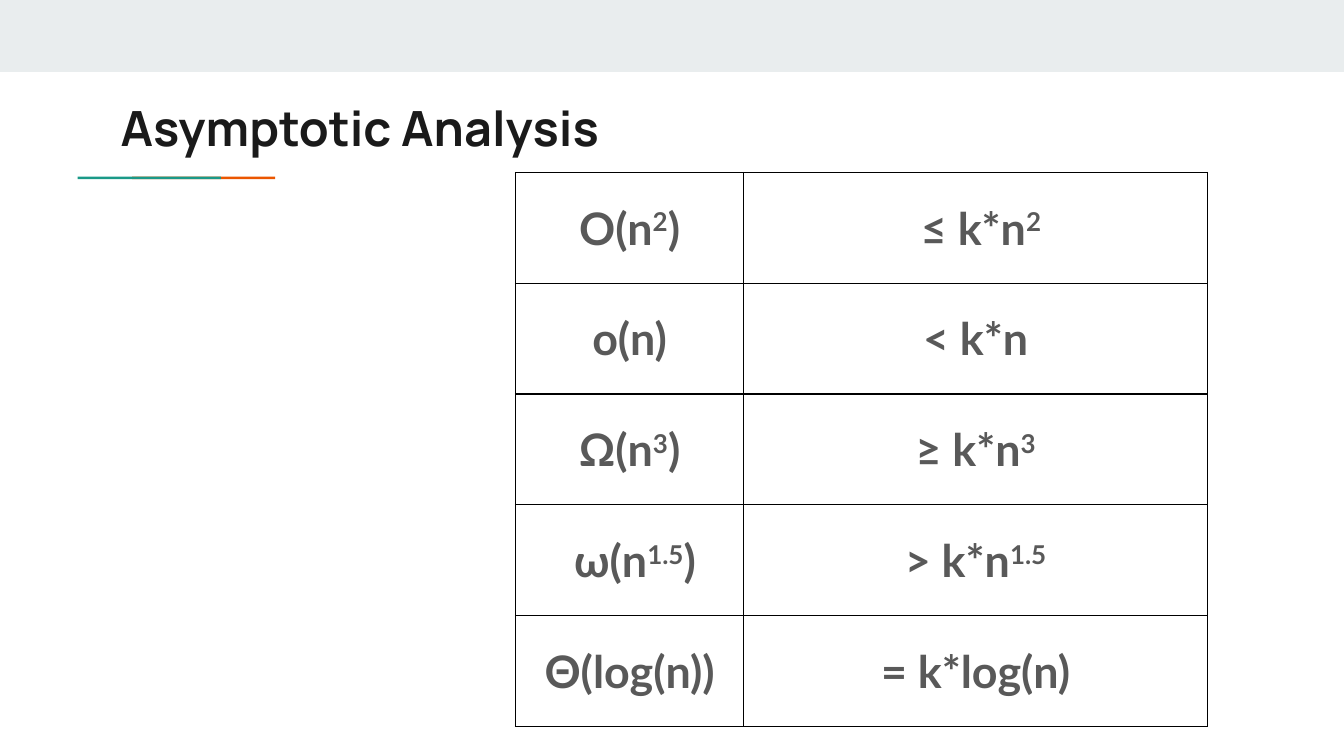
from pptx import Presentation
from pptx.dml.color import RGBColor
from pptx.enum.shapes import MSO_SHAPE
from pptx.enum.text import MSO_ANCHOR, PP_ALIGN
from pptx.oxml.ns import qn
from pptx.util import Cm, Pt
from lxml.etree import SubElement

PALE_GREY = RGBColor(0xE9, 0xED, 0xEE)
TEAL = RGBColor(0x1A, 0x99, 0x88)
ORANGE = RGBColor(0xEB, 0x56, 0x00)
INK = RGBColor(0x1A, 0x1A, 0x1A)
GREY = RGBColor(0x59, 0x59, 0x59)

SLIDE_WIDTH, SLIDE_HEIGHT = 25.4, 14.29
INSET = Cm(0.25)

# Text between carets is superscript.
BOUNDS = [
    ("O(n^2^)", " ≤ k*n^2^"),
    ("o(n)", "< k*n"),
    ("Ω(n^3^)", "≥ k*n^3^"),
    (" ω(n^1.5^)", "> k*n^1.5^"),
    ("Θ(log(n))", "= k*log(n)"),
]


def add_bar(slide, left, top, width, height, color):
    bar = slide.shapes.add_shape(
        MSO_SHAPE.RECTANGLE, Cm(left), Cm(top), Cm(width), Cm(height))
    bar.shadow.inherit = False
    bar.fill.solid()
    bar.fill.fore_color.rgb = color
    bar.line.fill.background()


def write_text(paragraph, text, *, font, size, color, align=PP_ALIGN.LEFT, space_after=0):
    """Fill a paragraph with bold text, raising the parts between carets."""
    paragraph.alignment = align
    paragraph.space_after = Pt(space_after)
    for index, part in enumerate(text.split("^")):
        if not part:
            continue
        run = paragraph.add_run()
        run.text = part
        run.font.name = font
        run.font.size = Pt(size)
        run.font.bold = True
        run.font.color.rgb = color
        if index % 2:
            run.font._element.set("baseline", "30000")


def add_title(slide, text, left, top, width, height):
    frame = slide.shapes.add_textbox(Cm(left), Cm(top), Cm(width), Cm(height)).text_frame
    frame.word_wrap = True
    frame.margin_left = frame.margin_right = INSET
    frame.margin_top = frame.margin_bottom = INSET
    write_text(frame.paragraphs[0], text, font="Manrope", size=26, color=INK)


def add_accent(slide, left, top, width, height):
    """Draw two equal bars, the teal one overlapping the orange one."""
    bar_width = width * 0.725
    add_bar(slide, left + width - bar_width, top, bar_width, height, ORANGE)
    add_bar(slide, left, top, bar_width, height, TEAL)


def draw_borders(cell):
    properties = cell._tc.get_or_add_tcPr()
    for side in ("a:lnL", "a:lnR", "a:lnT", "a:lnB"):
        line = SubElement(properties, qn(side), w=str(Pt(0.75)))
        fill = SubElement(line, qn("a:solidFill"))
        SubElement(fill, qn("a:srgbClr"), val="000000")


def add_bounds_table(slide, rows, left, top, width, height):
    table = slide.shapes.add_table(
        len(rows), 2, Cm(left), Cm(top), Cm(width), Cm(height)).table
    table.first_row = table.horz_banding = False
    for column, share in zip(table.columns, (0.33, 0.67)):
        column.width = Cm(width * share)
    for row, texts in zip(table.rows, rows):
        row.height = Cm(height / len(rows))
        for cell, text in zip(row.cells, texts):
            draw_borders(cell)
            cell.fill.background()
            cell.vertical_anchor = MSO_ANCHOR.MIDDLE
            cell.margin_left = cell.margin_right = INSET
            cell.margin_top = cell.margin_bottom = INSET
            write_text(cell.text_frame.paragraphs[0], text, font="Lato", size=24,
                       color=GREY, align=PP_ALIGN.CENTER, space_after=16)


def main():
    presentation = Presentation()
    presentation.slide_width = Cm(SLIDE_WIDTH)
    presentation.slide_height = Cm(SLIDE_HEIGHT)
    slide = presentation.slides.add_slide(presentation.slide_layouts[6])
    add_bar(slide, 0, 0, SLIDE_WIDTH, 1.36, PALE_GREY)
    add_accent(slide, 1.47, 3.34, 3.73, 0.05)
    add_bounds_table(slide, BOUNDS, 9.74, 3.26, 13.08, 10.47)
    add_title(slide, "Asymptotic Analysis", 2.03, 1.6, 21.36, 1.5)
    presentation.save("out.pptx")


if __name__ == "__main__":
    main()
